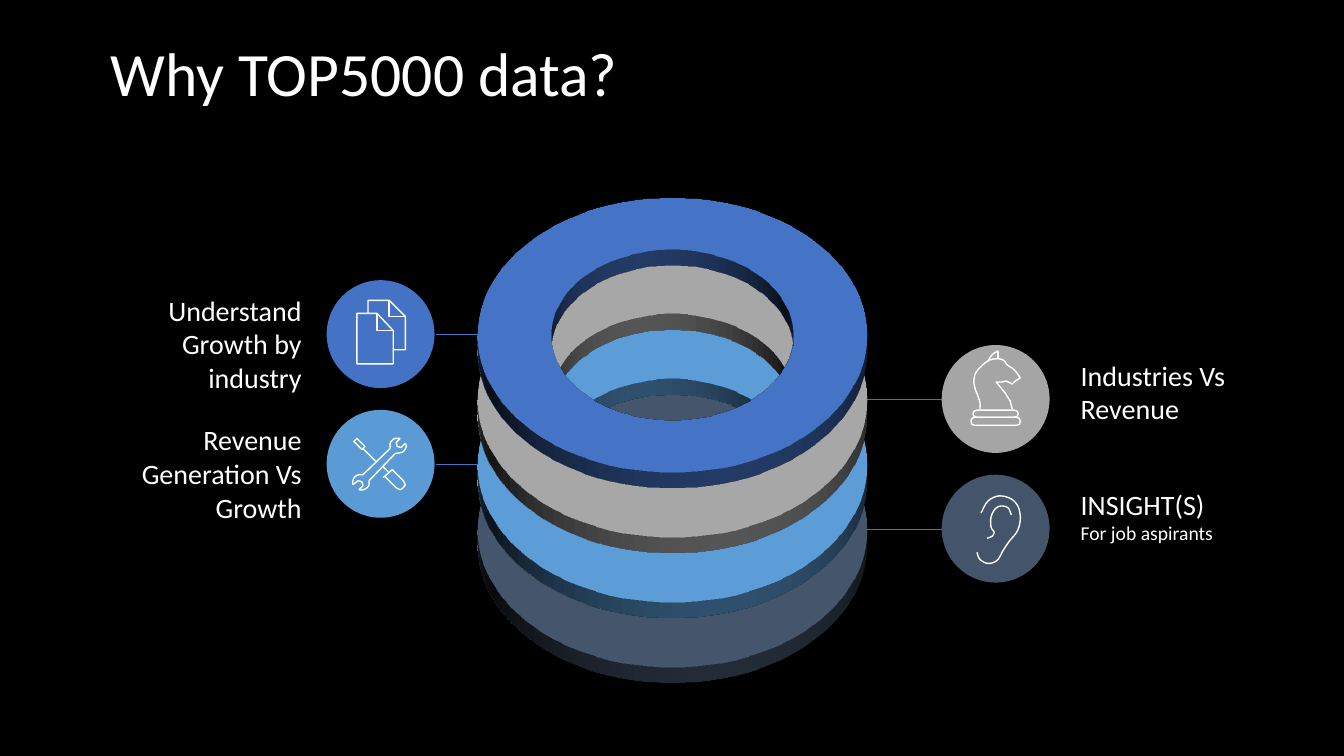
from lxml import etree
from pptx import Presentation
from pptx.dml.color import RGBColor
from pptx.enum import shapes, text
from pptx.oxml import ns
from pptx.util import Inches, Pt

COLORS = {"black": "000000", "white": "FFFFFF", "blue": "4472C4",
          "gray": "A5A5A5", "sky": "5B9BD5", "slate": "44546A"}
TITLE = "Why TOP5000 data?"


def pill(left, top, right, bottom):
    middle, cut = (top + bottom) / 2, 0.01
    return [(left + 0.04, top), (right - 0.04, top), (right - cut, top + cut),
            (right, middle), (right - cut, bottom - cut), (right - 0.04, bottom),
            (left + 0.04, bottom), (left + cut, bottom - cut),
            (left, middle), (left + cut, top + cut), (left + 0.04, top)]


def curve(points):
    padded = [points[0], *points, points[-1]]
    smooth = [points[0]]
    for a, b, c, d in zip(padded, padded[1:], padded[2:], padded[3:]):
        for t in (0.25, 0.5, 0.75, 1):
            smooth.append(tuple(
                (2 * q + (r - p) * t + (2 * p - 5 * q + 4 * r - s) * t ** 2
                 + (3 * q - p - 3 * r + s) * t ** 3) / 2
                for p, q, r, s in zip(a, b, c, d)))
    return smooth


DOCUMENTS = [
    [(3.54, 3.11), (3.74, 3.11), (3.9, 3.28), (3.9, 3.61), (3.54, 3.61), (3.54, 3.11)],
    [(3.74, 3.11), (3.74, 3.28), (3.9, 3.28)],
    [(3.65, 3.11), (3.65, 2.98), (3.86, 2.98), (4.02, 3.14), (4.02, 3.47), (3.9, 3.47)],
    [(3.86, 2.98), (3.86, 3.14), (4.02, 3.14)],
]
KNIGHT = [
    curve([(9.72, 4.06), (9.72, 4), (9.7, 3.93), (9.67, 3.85), (9.66, 3.77),
           (9.69, 3.68), (9.8, 3.58), (9.9, 3.56), (9.96, 3.58), (9.99, 3.62),
           (10.06, 3.67), (10.12, 3.75)]),
    [(10.12, 3.75), (10.07, 3.78), (10.04, 3.81), (9.98, 3.78), (9.94, 3.79),
     (9.88, 3.79), (9.97, 3.9), (10.02, 3.98), (10.04, 4.06)],
    curve([(9.8, 3.58), (9.84, 3.52), (9.9, 3.48)]),
    [(9.9, 3.48), (9.9, 3.56)],
    pill(9.65, 4.07, 10.1, 4.14),
    pill(9.63, 4.14, 10.12, 4.22),
]
TOOLS = [
    curve([(3.92, 4.5), (3.98, 4.49), (4.01, 4.47), (4.03, 4.43), (4.02, 4.4)]),
    [(4.02, 4.4), (3.98, 4.44), (3.94, 4.43), (3.93, 4.39), (3.97, 4.35)],
    curve([(3.97, 4.35), (3.92, 4.35), (3.89, 4.37), (3.87, 4.4), (3.87, 4.45)]),
    [(3.87, 4.45), (3.6, 4.71)],
    curve([(3.6, 4.71), (3.56, 4.71), (3.52, 4.73), (3.5, 4.77), (3.5, 4.81)]),
    [(3.5, 4.81), (3.55, 4.77), (3.59, 4.78), (3.6, 4.82), (3.56, 4.86)],
    curve([(3.56, 4.86), (3.6, 4.86), (3.64, 4.84), (3.66, 4.81), (3.66, 4.77)]),
    [(3.66, 4.77), (3.92, 4.5)],
    [(3.54, 4.35), (3.62, 4.43), (3.59, 4.46), (3.51, 4.38), (3.54, 4.35)],
    [(3.6, 4.45), (3.73, 4.58)],
    [(3.8, 4.63), (3.85, 4.68)],
    [(3.8, 4.74), (3.89, 4.66), (4, 4.77), (4.02, 4.81), (4, 4.84),
     (3.97, 4.86), (3.93, 4.84), (3.82, 4.73)],
]
EAR = [
    curve([(9.69, 5.48), (9.72, 5.55), (9.8, 5.59), (9.89, 5.56), (9.95, 5.46),
           (10.01, 5.37), (10.09, 5.27), (10.12, 5.15), (10.1, 5.03),
           (10.03, 4.95), (9.91, 4.92), (9.8, 4.97), (9.73, 5.09)]),
    curve([(9.79, 5.34), (9.84, 5.32), (9.86, 5.28), (9.83, 5.23), (9.83, 5.13),
           (9.87, 5.05), (9.93, 5.02), (10, 5.04), (10.03, 5.11)]),
]
LAYERS = [
    ("left", "blue", DOCUMENTS, ["Understand Growth by industry"], 2.25, 1.11),
    ("right", "gray", KNIGHT, ["Industries Vs Revenue"], 2.03, 0.77),
    ("left", "sky", TOOLS, ["Revenue Generation Vs Growth"], 2.25, 1.11),
    ("right", "slate", EAR, ["INSIGHT(S)", "For job aspirants"], 2.27, 0.67),
]
RING, RING_LEFT, FIRST_TOP, LAST_TOP = 3.86, 4.74, 1.39, 3.32
STEP = (LAST_TOP - FIRST_TOP) / (len(LAYERS) - 1)
BADGE = 1.07
SIDES = {
    "left": {"badge": 3.24, "label": 0.84, "align": text.PP_ALIGN.RIGHT,
             "line": (4.32, RING_LEFT)},
    "right": {"badge": 9.34, "label": 10.62, "align": text.PP_ALIGN.LEFT,
              "line": (9.34, RING_LEFT + RING)},
}
TILT = 315 * 60000
DEPTH = Inches(0.22)
ICON_UNITS = 1000


def rgb(color):
    return RGBColor.from_string(COLORS[color])


def style(paragraph, size):
    for run in paragraph.runs:
        run.font.size = Pt(size)
        run.font.name = "Calibri"
        run.font.color.rgb = rgb("white")


def add_solid(kind, left, top, size, color):
    solid = slide.shapes.add_shape(
        kind, Inches(left), Inches(top), Inches(size), Inches(size))
    solid.shadow.inherit = False
    solid.fill.solid()
    solid.fill.fore_color.rgb = rgb(color)
    solid.line.fill.background()
    return solid


def add_ring(top, color):
    ring = add_solid(shapes.MSO_SHAPE.DONUT, RING_LEFT, top, RING, color)
    ring.adjustments[0] = 0.19
    properties = ring._element.spPr
    scene = etree.SubElement(properties, ns.qn("a:scene3d"))
    camera = etree.SubElement(scene, ns.qn("a:camera"), prst="orthographicFront")
    etree.SubElement(camera, ns.qn("a:rot"), lat=str(TILT), lon="0", rev="0")
    etree.SubElement(scene, ns.qn("a:lightRig"), rig="threePt", dir="t")
    etree.SubElement(properties, ns.qn("a:sp3d"), extrusionH=str(DEPTH),
                     prstMaterial="matte")


def add_icon(strokes):
    first, *rest = [[(x * ICON_UNITS, y * ICON_UNITS) for x, y in stroke]
                    for stroke in strokes]
    builder = slide.shapes.build_freeform(*first[0], scale=Inches(1) / ICON_UNITS)
    builder.add_line_segments(first[1:], close=False)
    for stroke in rest:
        builder.move_to(*stroke[0])
        builder.add_line_segments(stroke[1:], close=False)
    icon = builder.convert_to_shape()
    icon.shadow.inherit = False
    icon.fill.background()
    icon.line.color.rgb = rgb("white")
    icon.line.width = Pt(1)


def add_label(lines, left, top, width, height, align):
    label = slide.shapes.add_textbox(
        Inches(left), Inches(top), Inches(width), Inches(height))
    frame = label.text_frame
    frame.word_wrap = True
    frame.auto_size = text.MSO_AUTO_SIZE.SHAPE_TO_FIT_TEXT
    frame.text = "\n".join(lines)
    for paragraph, size in zip(frame.paragraphs, (20, 14)):
        paragraph.alignment = align
        style(paragraph, size)


def add_link(start, end, y):
    link = slide.shapes.add_connector(
        shapes.MSO_CONNECTOR.STRAIGHT, Inches(start), Inches(y), Inches(end), Inches(y))
    link.line.color.rgb = rgb("blue")
    link.line.width = Pt(0.5)
    etree.SubElement(link._element.spPr, ns.qn("a:effectLst"))


deck = Presentation()
deck.slide_width, deck.slide_height = Inches(13.33), Inches(7.5)
slide = deck.slides.add_slide(deck.slide_layouts[5])
slide.background.fill.solid()
slide.background.fill.fore_color.rgb = rgb("black")

title = slide.shapes.title
title.left, title.top = Inches(1), Inches(0.31)
title.width, title.height = Inches(11.33), Inches(0.89)
title.text_frame.text = TITLE
title.text_frame.vertical_anchor = text.MSO_ANCHOR.MIDDLE
heading = title.text_frame.paragraphs[0]
heading.alignment = text.PP_ALIGN.LEFT
heading.line_spacing = 0.9
style(heading, 44)

tops = [FIRST_TOP + STEP * level for level in range(len(LAYERS))]
for top, layer in reversed(list(zip(tops, LAYERS))):
    add_ring(top, layer[1])
for top, (side, color, strokes, lines, width, height) in zip(tops, LAYERS):
    place = SIDES[side]
    add_solid(shapes.MSO_SHAPE.OVAL, place["badge"], top + 1.39, BADGE, color)
    add_label(lines, place["label"], top + 1.47, width, height, place["align"])
    add_link(*place["line"], top + RING / 2)
    add_icon(strokes)

deck.save("out.pptx")
